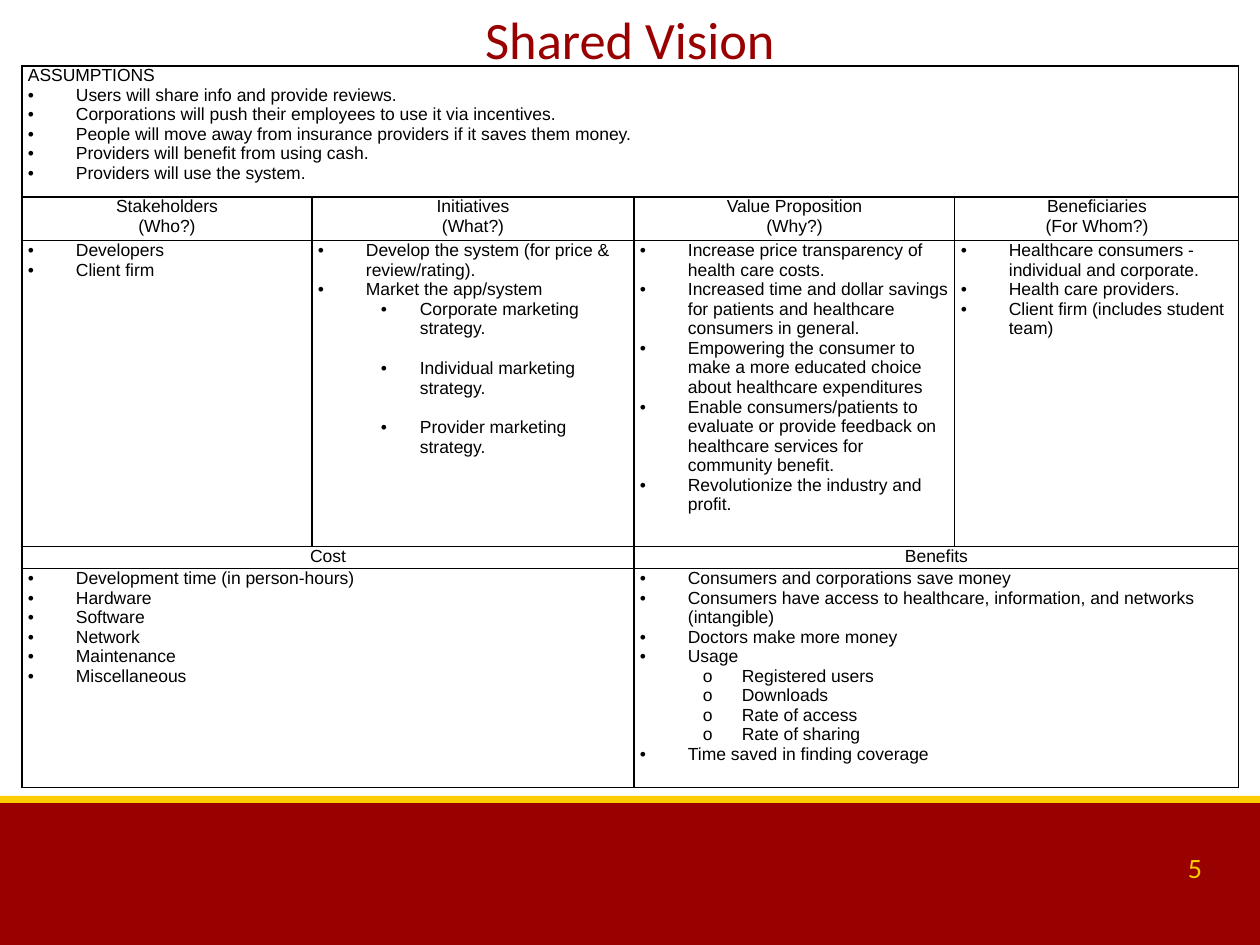
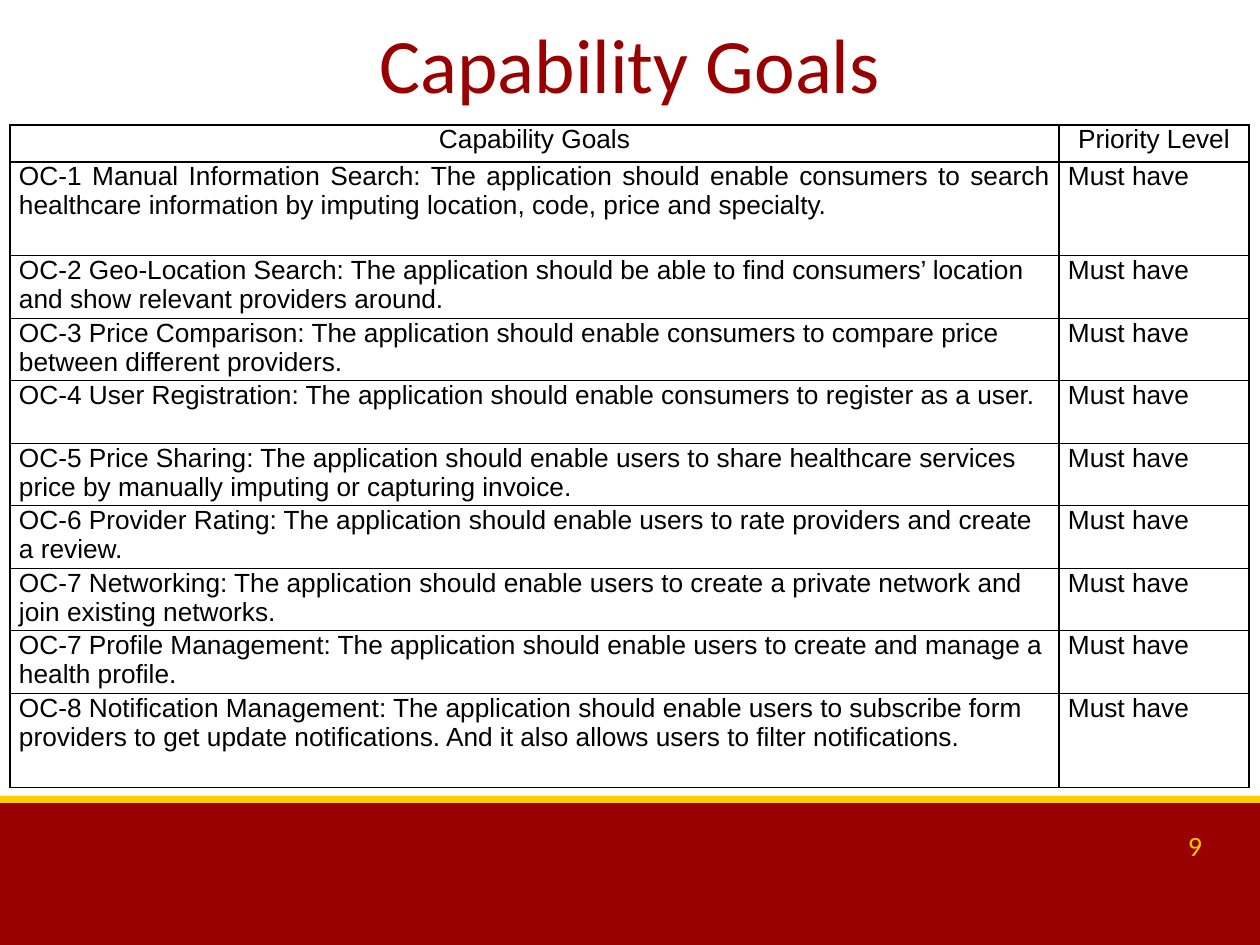
import itertools

import lxml.etree
import pptx
import pptx.dml.color
import pptx.enum.shapes
import pptx.enum.text
import pptx.oxml.ns
import pptx.util

ALIGN = pptx.enum.text.PP_ALIGN
CARDINAL = pptx.dml.color.RGBColor(0x99, 0x00, 0x00)
GOLD = pptx.dml.color.RGBColor(0xFF, 0xCC, 0x00)
BLACK = pptx.dml.color.RGBColor(0x00, 0x00, 0x00)
WHITE = pptx.dml.color.RGBColor(0xFF, 0xFF, 0xFF)
HEADING_FONT = "Calibri"
TABLE_FONT = "Arial"
EMU_PER_PX = 914400 / 126

STYLES = {
    "plain": {"align": ALIGN.LEFT},
    "head": {"align": ALIGN.CENTER},
    "justified": {"align": ALIGN.JUSTIFY},
    "bullet": {"align": ALIGN.LEFT, "mark": "•", "left": 48, "hang": 48, "level": 0},
    "strategy": {"align": ALIGN.LEFT, "mark": "•", "left": 102, "hang": 39, "level": 1, "after": 11.5},
    "measure": {"align": ALIGN.LEFT, "mark": "o", "left": 102, "hang": 39, "level": 1},
}


def styled(style, *texts):
    return [(style, text) for text in texts]


ASSUMPTIONS = styled("plain", "ASSUMPTIONS") + styled(
    "bullet",
    "Users will share info and provide reviews.",
    "Corporations will push their employees to use it via incentives.",
    "People will move away from insurance providers if it saves them money.",
    "Providers will benefit from using cash.",
    "Providers will use the system.",
)
QUESTIONS = [
    ("Stakeholders", "(Who?)"),
    ("Initiatives", "(What?)"),
    ("Value Proposition", "(Why?)"),
    ("Beneficiaries", "(For Whom?)"),
]
STAKEHOLDERS = styled("bullet", "Developers", "Client firm")
INITIATIVES = styled(
    "bullet",
    "Develop the system (for price & review/rating).",
    "Market the app/system",
) + styled(
    "strategy",
    "Corporate marketing strategy.",
    "Individual marketing strategy.",
    "Provider marketing strategy.",
)
VALUES = styled(
    "bullet",
    "Increase price transparency of health care costs.",
    "Increased time and dollar savings for patients and healthcare consumers in general.",
    "Empowering the consumer to make a more educated choice about healthcare expenditures",
    "Enable consumers/patients to evaluate or provide feedback on healthcare services for community benefit.",
    "Revolutionize the industry and profit.",
)
BENEFICIARIES = styled(
    "bullet",
    "Healthcare consumers - individual and corporate.",
    "Health care providers.",
    "Client firm (includes student team)",
)
COSTS = styled(
    "bullet",
    "Development time (in person-hours)",
    "Hardware",
    "Software",
    "Network",
    "Maintenance",
    "Miscellaneous",
)
BENEFITS = (
    styled(
        "bullet",
        "Consumers and corporations save money",
        "Consumers have access to healthcare, information, and networks (intangible)",
        "Doctors make more money",
        "Usage",
    )
    + styled("measure", "Registered users", "Downloads", "Rate of access", "Rate of sharing")
    + styled("bullet", "Time saved in finding coverage")
)
GOALS = [
    "OC-1 Manual Information Search: The application should enable consumers to search healthcare "
    "information by imputing location, code, price and specialty.",
    "OC-2 Geo-Location Search: The application should be able to find consumers’ location and show "
    "relevant providers around.",
    "OC-3 Price Comparison: The application should enable consumers to compare price between "
    "different providers.",
    "OC-4 User Registration: The application should enable consumers to register as a user.",
    "OC-5 Price Sharing: The application should enable users to share healthcare services price by "
    "manually imputing or capturing invoice.",
    "OC-6 Provider Rating: The application should enable users to rate providers and create a review.",
    "OC-7 Networking: The application should enable users to create a private network and join "
    "existing networks.",
    "OC-7 Profile Management: The application should enable users to create and manage a health profile.",
    "OC-8 Notification Management: The application should enable users to subscribe form providers to "
    "get update notifications. And it also allows users to filter notifications.",
]
PRIORITY = "Must have"

VISION_ROWS = [
    [ASSUMPTIONS, None, None, None],
    [styled("head", *question) for question in QUESTIONS],
    [STAKEHOLDERS, INITIATIVES, VALUES, BENEFICIARIES],
    [styled("head", "Cost"), None, styled("head", "Benefits"), None],
    [COSTS, None, BENEFITS, None],
]
GOAL_ROWS = [[styled("head", "Capability Goals"), styled("head", "Priority Level")]] + [
    [styled("plain" if index else "justified", text) for text in (goal, PRIORITY)]
    for index, goal in enumerate(GOALS)
]

SLIDES = [
    {
        "title": "Shared Vision", "title_box": (63, 0, 1134, 77), "title_size": 30,
        "number": "5", "number_top": 842, "inset": 6,
        "rows": VISION_ROWS, "size": 10, "margin": 6,
        "x_edges": [22, 312, 634, 955, 1239],
        "y_edges": [66, 197, 241, 547, 569, 788],
    },
    {
        "title": "Capability Goals", "title_box": (63, 16, 1134, 93), "title_size": 44,
        "number": "9", "number_top": 820, "inset": 13,
        "rows": GOAL_ROWS, "size": 15, "margin": 9,
        "x_edges": [10, 1059, 1249],
        "y_edges": [125, 162, 256, 319, 381, 444, 506, 569, 631, 694, 788],
    },
]


def px(length):
    return pptx.util.Emu(round(length * EMU_PER_PX))


def add_run(paragraph, text, font_name, size, color):
    run = paragraph.add_run()
    run.text = text
    run.font.name = font_name
    run.font.size = pptx.util.Pt(size)
    run.font.color.rgb = color


def add_band(slide, top, height, color):
    band = slide.shapes.add_shape(
        pptx.enum.shapes.MSO_SHAPE.RECTANGLE, 0, px(top), px(1260), px(height)
    )
    band.shadow.inherit = False
    band.fill.solid()
    band.fill.fore_color.rgb = color
    band.line.fill.background()


def write_heading(shape, text, align, size, color, inset):
    frame = shape.text_frame
    frame.word_wrap = True
    frame.auto_size = pptx.enum.text.MSO_AUTO_SIZE.NONE
    frame.vertical_anchor = pptx.enum.text.MSO_ANCHOR.MIDDLE
    frame.margin_left = frame.margin_right = px(13)
    frame.margin_top = frame.margin_bottom = px(inset)
    frame.paragraphs[0].alignment = align
    add_run(frame.paragraphs[0], text, HEADING_FONT, size, color)


def add_bullet(paragraph, style):
    qn = pptx.oxml.ns.qn
    paragraph.level = style["level"]
    properties = paragraph._p.get_or_add_pPr()
    properties.set("marL", str(px(style["left"])))
    properties.set("indent", str(-px(style["hang"])))
    lxml.etree.SubElement(properties, qn("a:buFont"), typeface=TABLE_FONT)
    lxml.etree.SubElement(properties, qn("a:buChar"), char=style["mark"])


def write_cell(cell, lines, size):
    frame = cell.text_frame
    for index, (name, text) in enumerate(lines):
        paragraph = frame.add_paragraph() if index else frame.paragraphs[0]
        style = STYLES[name]
        paragraph.alignment = style["align"]
        if "after" in style:
            paragraph.space_after = pptx.util.Pt(style["after"])
        if "mark" in style:
            add_bullet(paragraph, style)
        add_run(paragraph, text, TABLE_FONT, size, BLACK)


def draw_borders(cell):
    qn = pptx.oxml.ns.qn
    properties = cell._tc.get_or_add_tcPr()
    for index, side in enumerate(("a:lnL", "a:lnR", "a:lnT", "a:lnB")):
        line = lxml.etree.Element(qn(side), w=str(pptx.util.Pt(0.75)))
        fill = lxml.etree.SubElement(line, qn("a:solidFill"))
        lxml.etree.SubElement(fill, qn("a:srgbClr"), val=str(BLACK))
        properties.insert(index, line)


def add_grid(slide, content):
    xs, ys, rows = content["x_edges"], content["y_edges"], content["rows"]
    grid = slide.shapes.add_table(
        len(rows), len(rows[0]), px(xs[0]), px(ys[0]), px(xs[-1] - xs[0]), px(ys[-1] - ys[0])
    ).table
    grid.first_row = grid.horz_banding = False
    for column, (left, right) in zip(grid.columns, itertools.pairwise(xs)):
        column.width = px(right - left)
    for row, (top, bottom) in zip(grid.rows, itertools.pairwise(ys)):
        row.height = px(bottom - top)
    for row_index, row in enumerate(rows):
        starts = [index for index, lines in enumerate(row) if lines]
        for start, end in itertools.pairwise(starts + [len(row)]):
            if end - start > 1:
                grid.cell(row_index, start).merge(grid.cell(row_index, end - 1))
        for column_index, lines in enumerate(row):
            cell = grid.cell(row_index, column_index)
            cell.margin_left = cell.margin_right = px(content["margin"])
            cell.margin_top = cell.margin_bottom = 0
            cell.fill.solid()
            cell.fill.fore_color.rgb = WHITE
            draw_borders(cell)
            write_cell(cell, lines or [], content["size"])


def build_slide(deck, content):
    slide = deck.slides.add_slide(deck.slide_layouts[5])
    add_band(slide, 800, 145, CARDINAL)
    add_band(slide, 796, 7, GOLD)
    title = slide.shapes.title
    title.left, title.top, title.width, title.height = map(px, content["title_box"])
    write_heading(
        title, content["title"], ALIGN.CENTER, content["title_size"], CARDINAL, content["inset"]
    )
    number = slide.shapes.add_textbox(px(921), px(content["number_top"]), px(294), px(50))
    write_heading(number, content["number"], ALIGN.RIGHT, 16, GOLD, content["inset"])
    add_grid(slide, content)


def main():
    deck = pptx.Presentation()
    deck.slide_width, deck.slide_height = px(1260), px(945)
    for content in SLIDES:
        build_slide(deck, content)
    deck.save("out.pptx")


if __name__ == "__main__":
    main()
